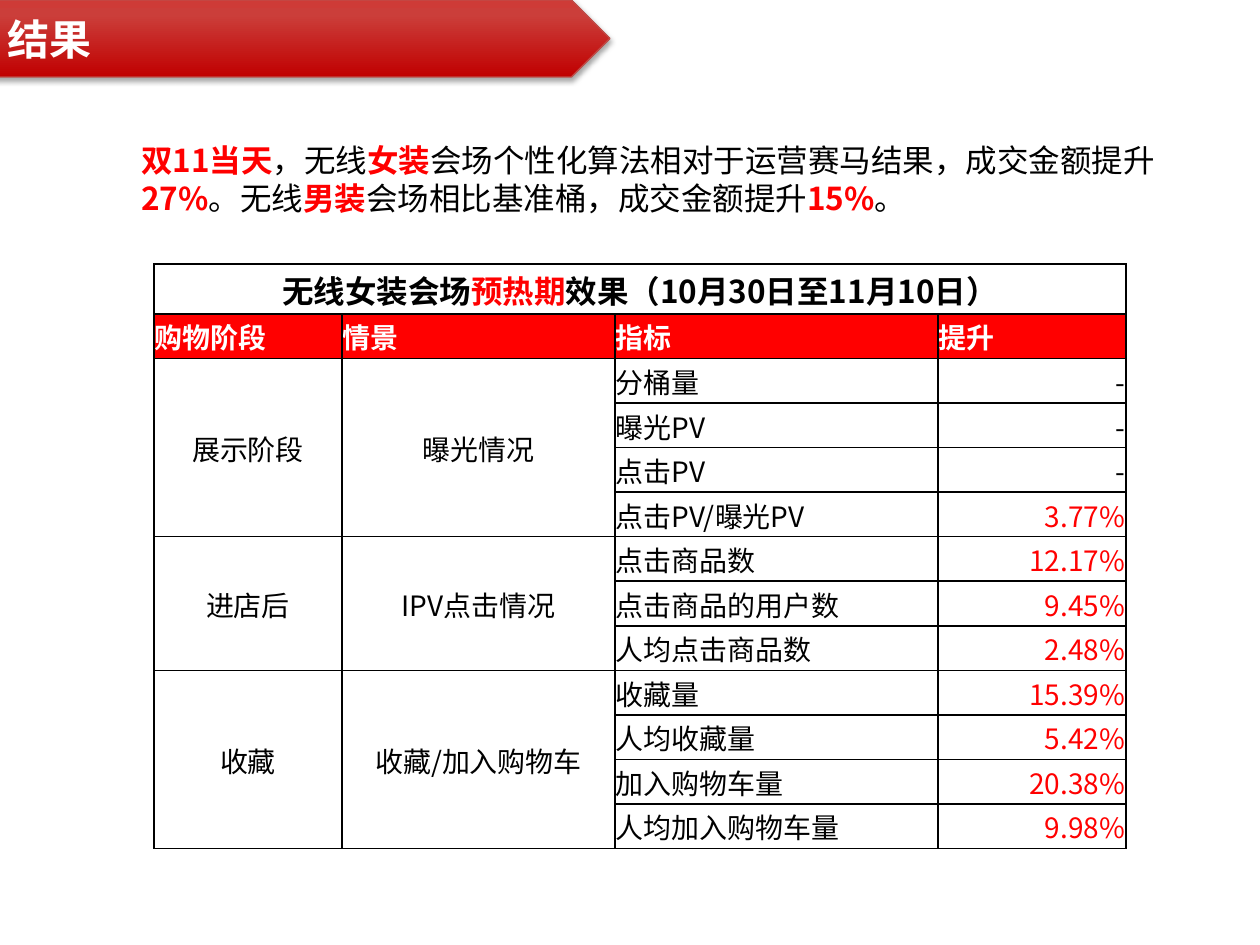
from lxml.etree import SubElement
from copy import deepcopy
from pptx import Presentation
from pptx.dml.color import RGBColor
from pptx.enum.shapes import MSO_SHAPE
from pptx.enum.text import MSO_ANCHOR, MSO_AUTO_SIZE, PP_ALIGN
from pptx.oxml.ns import qn
from pptx.util import Inches, Pt

FONT = "Noto Sans CJK SC"
COLORS = {"black": "000000", "white": "FFFFFF", "red": "FF0000",
          "dark": "C00000", "mid": "CB3E3A", "light": "CE3B37", "edge": "BF4C48"}

INTRO = [("双11当天", True), ("，无线", False), ("女装", True),
         ("会场个性化算法相对于运营赛马结果，成交金额提升", False),
         ("27%", True), ("。无线", False), ("男装", True),
         ("会场相比基准桶，成交金额提升", False), ("15%", True), ("。", False)]
CAPTION = [("无线女装会场", "black"), ("预热期", "red"),
           ("效果（10月30日至11月10日）", "black")]
HEADINGS = ["购物阶段", "情景", "指标", "提升"]
STAGES = [
    ("展示阶段", "曝光情况", [("分桶量", "-"), ("曝光PV", "-"), ("点击PV", "-"),
                      ("点击PV/曝光PV", "3.77%")]),
    ("进店后", "IPV点击情况", [("点击商品数", "12.17%"), ("点击商品的用户数", "9.45%"),
                       ("人均点击商品数", "2.48%")]),
    ("收藏", "收藏/加入购物车", [("收藏量", "15.39%"), ("人均收藏量", "5.42%"),
                       ("加入购物车量", "20.38%"), ("人均加入购物车量", "9.98%")]),
]
COL_WIDTHS = [188, 273, 323, 188]
CAPTION_HEIGHT = 50


def px(n):
    return Inches(n / 126)


def rgb(name):
    return RGBColor.from_string(COLORS[name])


def add_run(p, text, size, color="black", bold=False):
    r = p.add_run()
    r.text = text
    r.font.size, r.font.bold = Pt(size), bold
    r.font.color.rgb = rgb(color)
    r.font.name = FONT
    # East Asian glyphs take their own typeface
    SubElement(r.font._element, qn("a:ea"), typeface=FONT)


def add_banner(slide, x, y, w, h):
    box = px(x), px(y), px(w), px(h)
    sp = slide.shapes.add_shape(MSO_SHAPE.PENTAGON, *box)
    sp.line.color.rgb, sp.line.width = rgb("edge"), Pt(0.75)

    # Gradient from dark at the bottom to light at the top
    sp.fill.gradient()
    sp.fill.gradient_angle = 90
    first = sp.fill.gradient_stops[0]._gs
    first.addnext(deepcopy(first))
    for stop, (name, pos) in zip(sp.fill.gradient_stops,
                                 [("dark", 0), ("mid", 0.8), ("light", 1)]):
        stop.color.rgb, stop.position = rgb(name), pos

    # Soft shadow below
    sp.shadow.inherit = False
    effects = sp._element.spPr.find(qn("a:effectLst"))
    shadow = SubElement(effects, qn("a:outerShdw"), blurRad="40000",
                        dist="23000", dir="5400000", rotWithShape="0")
    color = SubElement(shadow, qn("a:srgbClr"), val=COLORS["black"])
    SubElement(color, qn("a:alpha"), val="35000")

    # Title in front of the banner
    title = slide.shapes.title
    title.left, title.top, title.width, title.height = box
    slide.shapes._spTree.append(title._element)
    tf = title.text_frame
    tf.auto_size, tf.vertical_anchor = MSO_AUTO_SIZE.NONE, MSO_ANCHOR.MIDDLE
    p = tf.paragraphs[0]
    p.alignment = PP_ALIGN.LEFT
    add_run(p, "结果", 24, "white", True)


def add_intro(slide, x, y, w, h):
    tf = slide.shapes.add_textbox(px(x), px(y), px(w), px(h)).text_frame
    tf.word_wrap = True
    for text, strong in INTRO:
        add_run(tf.paragraphs[0], text, 18, "red" if strong else "black", strong)


def style_cell(cell, fill=None):
    cell.vertical_anchor = MSO_ANCHOR.MIDDLE
    cell.margin_left = cell.margin_right = cell.margin_top = px(1)
    cell.margin_bottom = 0
    tc_pr = cell._tc.get_or_add_tcPr()
    for side in ("lnL", "lnR", "lnT", "lnB"):
        ln = SubElement(tc_pr, qn("a:" + side), w=str(Pt(1)))
        SubElement(SubElement(ln, qn("a:solidFill")), qn("a:srgbClr"),
                   val=COLORS["black"])
    if fill:
        cell.fill.solid()
        cell.fill.fore_color.rgb = rgb(fill)
    else:
        cell.fill.background()


def write_cell(cell, runs, align=PP_ALIGN.LEFT, size=16, bold=False):
    p = cell.text_frame.paragraphs[0]
    p.alignment = align
    for text, color in runs:
        add_run(p, text, size, color, bold)


def add_results(slide, x, y, w, h):
    n_rows = 2 + sum(len(metrics) for _, _, metrics in STAGES)
    table = slide.shapes.add_table(n_rows, len(COL_WIDTHS),
                                   px(x), px(y), px(w), px(h)).table
    table.first_row = table.horz_banding = False
    for col, width in zip(table.columns, COL_WIDTHS):
        col.width = px(width)
    for i, row in enumerate(table.rows):
        row.height = px(h - CAPTION_HEIGHT) // (n_rows - 1) if i else px(CAPTION_HEIGHT)
        for cell in row.cells:
            style_cell(cell, "red" if i == 1 else None)

    # Caption and headings
    table.cell(0, 0).merge(table.cell(0, len(COL_WIDTHS) - 1))
    write_cell(table.cell(0, 0), CAPTION, PP_ALIGN.CENTER, 18, True)
    for c, heading in enumerate(HEADINGS):
        write_cell(table.cell(1, c), [(heading, "white")], bold=True)

    # One block of rows for each shopping stage
    top = 2
    for stage, scene, metrics in STAGES:
        for c, text in enumerate((stage, scene)):
            table.cell(top, c).merge(table.cell(top + len(metrics) - 1, c))
            write_cell(table.cell(top, c), [(text, "black")], PP_ALIGN.CENTER)
        for i, (metric, lift) in enumerate(metrics, top):
            write_cell(table.cell(i, 2), [(metric, "black")])
            color = "black" if lift == "-" else "red"
            write_cell(table.cell(i, 3), [(lift, color)], PP_ALIGN.RIGHT)
        top += len(metrics)


def main():
    prs = Presentation()
    prs.slide_width, prs.slide_height = px(1260), px(945)
    slide = prs.slides.add_slide(prs.slide_layouts[5])
    add_banner(slide, -5, 0, 615, 77)
    add_intro(slide, 129, 135, 1131, 89)
    add_results(slide, 154, 264, sum(COL_WIDTHS), 585)
    prs.save("out.pptx")


if __name__ == "__main__":
    main()
